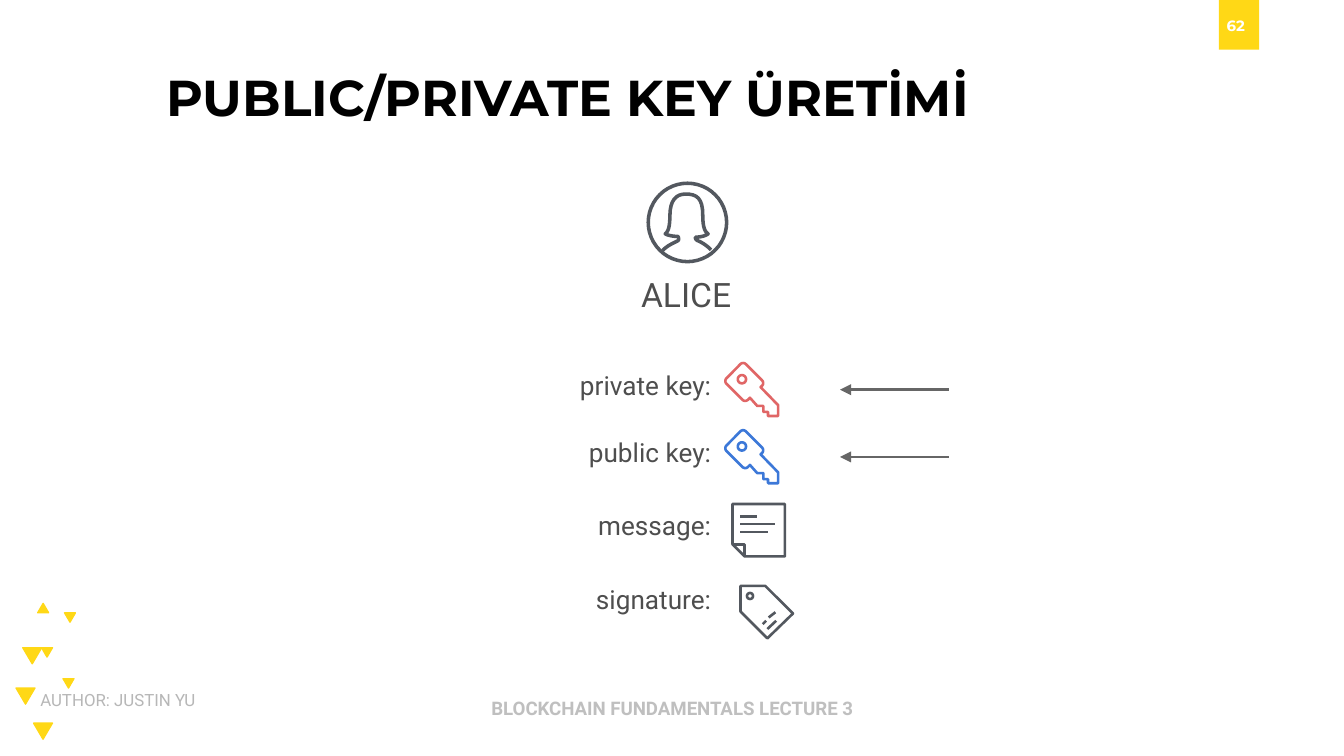
"""Slide on public and private key generation, with Alice's keys, message and signature."""
from math import cos, pi, sin

from lxml.etree import SubElement
from pptx import Presentation
from pptx.dml.color import RGBColor
from pptx.enum.shapes import MSO_CONNECTOR, MSO_SHAPE
from pptx.enum.text import MSO_ANCHOR, PP_ALIGN
from pptx.oxml.ns import qn
from pptx.util import Pt

YELLOW, INK, SLATE, ARROW = "FFD816", "4E4E4E", "53585F", "666666"
LEFT, CENTER, RIGHT = PP_ALIGN.LEFT, PP_ALIGN.CENTER, PP_ALIGN.RIGHT
TOP, MIDDLE = MSO_ANCHOR.TOP, MSO_ANCHOR.MIDDLE

SMALL, LARGE = (5.8, 5), (10.1, 8.6)
CONFETTI = [
    (22.3, 347, SMALL, 180), (12.2, 347, LARGE, 180), (33.8, 363.6, SMALL, 180),
    (8.6, 368.6, LARGE, 180), (18, 387.4, LARGE, 180), (34.6, 328.3, SMALL, 180),
    (20.2, 323.3, SMALL, 0),
]

TEXTS = [
    ("62", (651.6, 5.8, 25.9, 15.1), (2.5, 2.9, 7.5, 2.9), "Montserrat", 8, "FFFFFF", True, CENTER, TOP),
    ("PUBLIC/PRIVATE KEY ÜRETİMİ", (86.4, 31.7, 574.6, 29.5), (2.9, 1.4, 2.9, 1.4),
     "Montserrat", 27, "000000", True, LEFT, MIDDLE),
    ("ALICE", (334.8, 139.7, 65.5, 36.7), (7.2,) * 4, "Roboto", 18, INK, False, CENTER, TOP),
    ("AUTHOR: JUSTIN YU", (18.7, 358.6, 180, 41), (2.9, 13.4, 2.9, 2.9),
     "Roboto", 9, "B7B7B7", False, LEFT, TOP),
    ("BLOCKCHAIN FUNDAMENTALS LECTURE 3", (257.8, 358.6, 204.5, 41), (2.9,) * 4,
     "Roboto", 10, "BFBFBF", True, CENTER, MIDDLE),
]
ROWS = [("private key:", 190.8), ("public key:", 226.8), ("message:", 265.7), ("signature:", 305.3)]
ARROW_TOPS = [208.8, 244.8]


def circle(x, y, radius, steps=48):
    """Return a closed contour that runs round a circle."""
    angles = [2 * pi * step / steps for step in range(steps)]
    return True, [(x + radius * cos(angle), y + radius * sin(angle)) for angle in angles]


KEY = [
    (True, [(28.8, 29.2), (23.4, 29.2), (23.4, 27), (20.9, 27), (20.9, 23.8), (17.6, 23.8),
            (13.7, 19.4), (12.6, 20.5), (11.8, 21.3, 10.5, 21.3, 9.7, 20.5), (1.1, 11.9),
            (0.3, 11.1, 0.3, 9.8, 1.1, 9), (8.6, 1.4), (9.4, 0.6, 10.7, 0.6, 11.5, 1.4),
            (20.2, 10.1), (21, 10.9, 21, 12.2, 20.2, 13), (19.4, 13.7), (28.8, 23.4)]),
    circle(9.4, 9.5, 2.2),
]
NOTE = [
    (True, [(0.7, 0.7), (28.8, 0.7), (28.8, 28.8), (7.2, 28.8), (0.7, 22.3)]),
    (False, [(0.7, 22.3), (7.2, 22.3), (7.2, 28.8)]),
    (False, [(5, 7.4), (14, 7.4)]),
    (False, [(5, 11.5), (23.4, 11.5)]),
    (False, [(5, 15.8), (19.5, 15.8)]),
]
TAG = [
    (True, [(0.7, 0.7), (14, 0.7), (28.8, 15.5), (15.1, 28.8), (0.7, 14.4)]),
    circle(5.8, 6.1, 1.6),
    (False, [(15.1, 23.8), (19.8, 19.4)]),
    (False, [(12.6, 21.2), (14.4, 19.4)]),
    (False, [(15.8, 17.6), (19.4, 14.8)]),
]
WOMAN = [
    circle(22, 22, 21),
    (False, [(8.6, 37.1), (11, 34.6, 14, 33.2, 16.6, 32), (17.6, 31.4, 17.4, 30.4, 16.9, 29.5),
             (14.5, 29.5, 11.5, 29, 10.1, 28.1), (11.6, 27, 12.6, 24.5, 12.6, 18.7),
             (12.6, 10, 16, 6.8, 21, 6.8), (27, 6.8, 30.2, 9, 30.2, 18),
             (30.2, 25, 31.6, 27.4, 33.1, 28.1), (31.5, 29.4, 28.5, 29.9, 26.3, 29.9),
             (26.2, 30.8, 26.6, 31.3, 27.4, 31.7), (30, 32.8, 32.8, 34.7, 34.6, 36.7)]),
]
ICONS = [
    (KEY, 388.1, 193.7, "E06666", 1.4),
    (NOTE, 391.7, 269.3, SLATE, 1.4),
    (WOMAN, 346.3, 97.2, SLATE, 1.9),
    (KEY, 388.1, 229.7, "3C78D8", 1.4),
    (TAG, 396, 313.2, SLATE, 1.4),
]


def color(value):
    return RGBColor.from_string(value)


def flatten(contour, steps=8):
    points = [contour[0]]
    for node in contour[1:]:
        if len(node) == 2:
            points.append(node)
            continue
        controls = [points[-1], node[:2], node[2:4], node[4:]]
        for step in range(1, steps + 1):
            t = step / steps
            weights = ((1 - t) ** 3, 3 * t * (1 - t) ** 2, 3 * t * t * (1 - t), t ** 3)
            points.append(tuple(sum(w * c[axis] for w, c in zip(weights, controls)) for axis in (0, 1)))
    return points


def add_block(shapes, kind, box, line_width=0):
    block = shapes.add_shape(kind, *map(Pt, box))
    block.shadow.inherit = False
    block.fill.solid()
    block.fill.fore_color.rgb = color(YELLOW)
    if line_width:
        block.line.color.rgb = color(YELLOW)
        block.line.width = Pt(line_width)
    else:
        block.line.fill.background()
    return block


def add_icon(shapes, contours, left, top, hue, width):
    builder = None
    for closed, contour in contours:
        points = [(Pt(left + x), Pt(top + y)) for x, y in flatten(contour)]
        if builder is None:
            builder = shapes.build_freeform(*points[0], scale=1.0)
        else:
            builder.move_to(*points[0])
        builder.add_line_segments(points[1:], close=closed)
    icon = builder.convert_to_shape()
    icon.shadow.inherit = False
    icon.fill.background()
    icon.line.color.rgb = color(hue)
    icon.line.width = Pt(width)


def add_text(shapes, words, box, insets, face, size, hue, bold, align, anchor):
    frame = shapes.add_textbox(*map(Pt, box)).text_frame
    frame.word_wrap = True
    frame.vertical_anchor = anchor
    frame.margin_left, frame.margin_top, frame.margin_right, frame.margin_bottom = map(Pt, insets)
    paragraph = frame.paragraphs[0]
    paragraph.text = words
    paragraph.alignment = align
    if size == 27:
        paragraph.line_spacing = 1.31
    font = paragraph.font
    font.name, font.size, font.bold = face, Pt(size), bold
    font.color.rgb = color(hue)


def add_arrow(shapes, top):
    arrow = shapes.add_connector(MSO_CONNECTOR.STRAIGHT, Pt(508.3), Pt(top), Pt(450), Pt(top))
    arrow.line.color.rgb = color(ARROW)
    arrow.line.width = Pt(1.5)
    SubElement(arrow.line._get_or_add_ln(), qn("a:tailEnd"), type="triangle")
    SubElement(arrow._element.spPr, qn("a:effectLst"))


def main():
    deck = Presentation()
    deck.slide_width, deck.slide_height = Pt(720), Pt(405)
    shapes = deck.slides.add_slide(deck.slide_layouts[6]).shapes
    add_block(shapes, MSO_SHAPE.RECTANGLE, (653, 0, 21.6, 26.6))
    for left, top, size, turn in CONFETTI:
        add_block(shapes, MSO_SHAPE.ISOSCELES_TRIANGLE, (left, top, *size), 0.75).rotation = turn
    for icon in ICONS:
        add_icon(shapes, *icon)
    for text in TEXTS:
        add_text(shapes, *text)
    for label, top in ROWS:
        add_text(shapes, label, (294.5, top, 93.6, 36.7), (7.2,) * 4, "Roboto", 14, INK, False, RIGHT, TOP)
    for top in ARROW_TOPS:
        add_arrow(shapes, top)
    deck.save("out.pptx")


if __name__ == "__main__":
    main()
